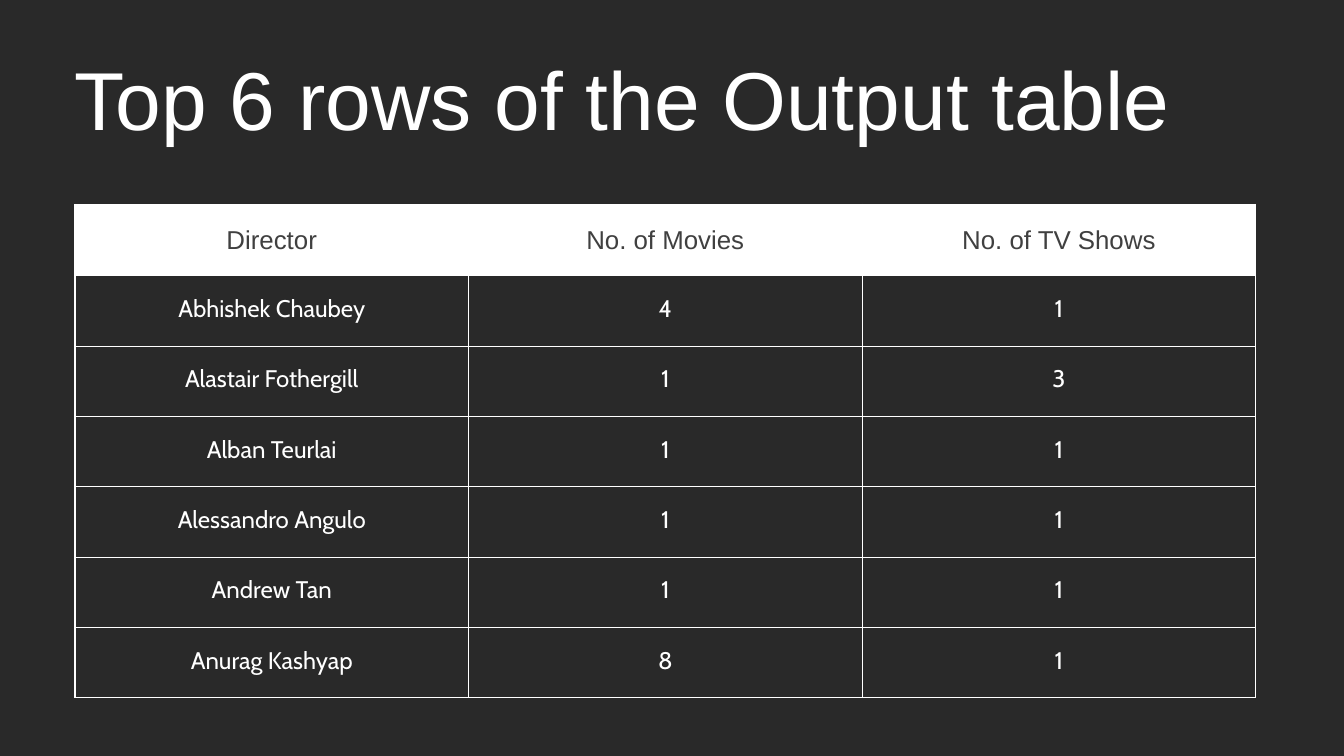
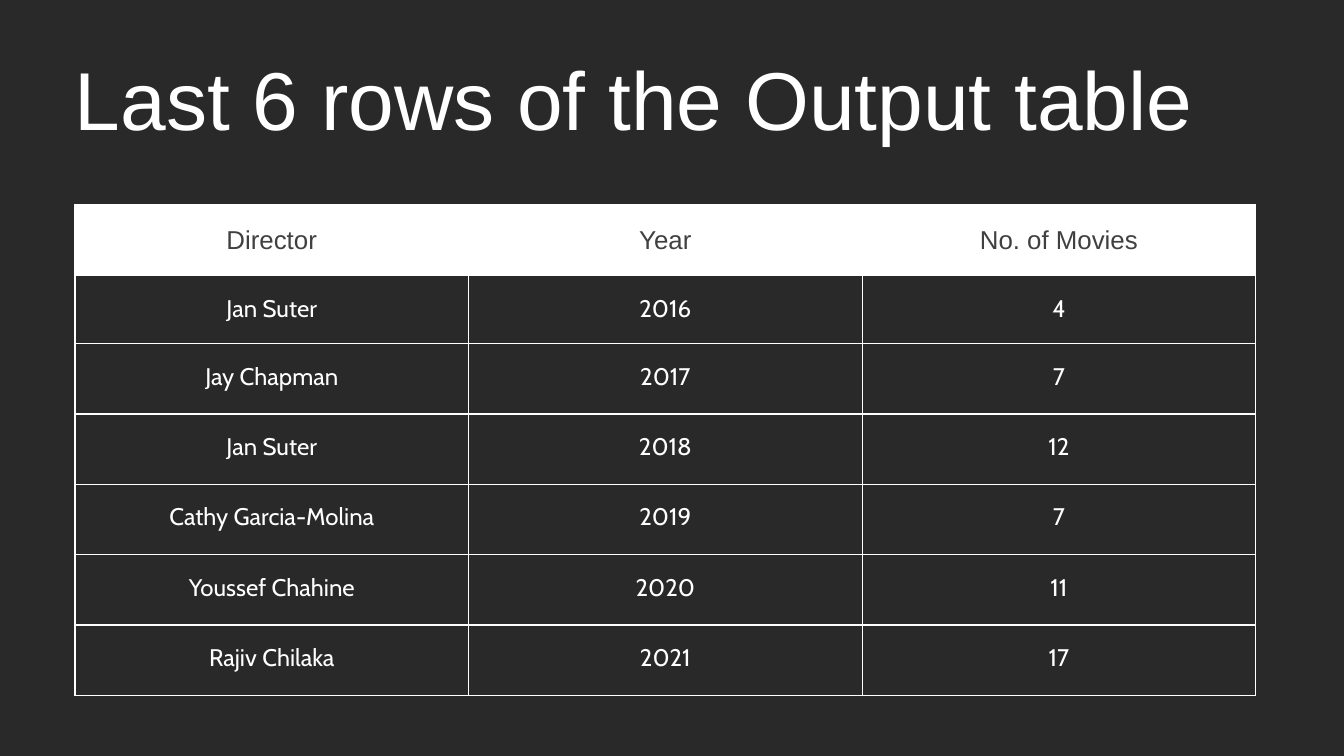
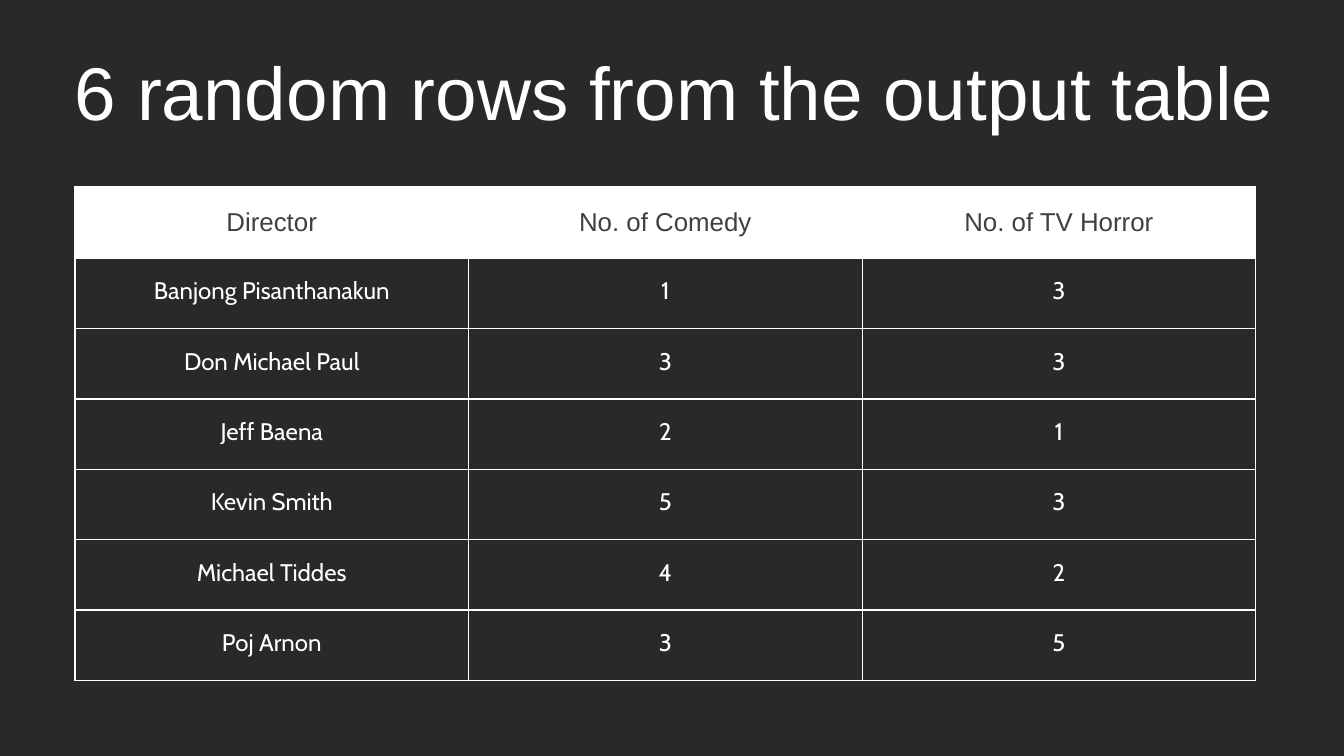
from dataclasses import dataclass

from lxml.etree import SubElement
from pptx import Presentation
from pptx.dml.color import RGBColor
from pptx.enum.text import MSO_AUTO_SIZE, PP_ALIGN
from pptx.oxml.ns import qn
from pptx.util import Pt

EMU_PER_PX = 9525


def px(length):
    return length * EMU_PER_PX


@dataclass(frozen=True)
class TextStyle:
    font: str
    size: float
    color: str
    line_spacing: float
    align: PP_ALIGN = PP_ALIGN.LEFT


@dataclass(frozen=True)
class Theme:
    background: str = "292929"
    line: str = "FFFFFF"
    header_fill: str = "FFFFFF"
    line_width: float = 1.5
    title: TextStyle = TextStyle("Arial", 88, "FFFFFF", 105.6)
    long_title: TextStyle = TextStyle("Arial", 80, "FFFFFF", 96)
    header: TextStyle = TextStyle("Arial", 27.7, "404040", 38.8, PP_ALIGN.CENTER)
    body: TextStyle = TextStyle("Cabin", 25.7, "FFFFFF", 36, PP_ALIGN.CENTER)


THEME = Theme()

# Shared grid
LEFT = 107
COLUMN_WIDTH = px(1687) // 3
HEADER_HEIGHT = px(102)
ROW_HEIGHT = px(603) // 6
CELL_MARGIN = px(20)

SIDES = ("left", "right", "top", "bottom")


def set_values(target, values):
    for name, value in values.items():
        setattr(target, name, value)


def set_margins(target, margin):
    set_values(target, {f"margin_{side}": margin for side in SIDES})


def write(frame, text, style):
    para = frame.paragraphs[0]
    set_values(para, {"alignment": style.align,
                      "line_spacing": Pt(style.line_spacing)})
    span = para.add_run()
    span.text = text
    set_values(span.font, {"name": style.font, "size": Pt(style.size)})
    span.font.color.rgb = RGBColor.from_string(style.color)


def add_page(deck):
    page = deck.slides.add_slide(deck.slide_layouts[6])
    fill = page.background.fill
    fill.solid()
    fill.fore_color.rgb = RGBColor.from_string(THEME.background)
    return page


def add_title(page, text, top, width, height, style):
    box = page.shapes.add_textbox(px(LEFT), px(top), px(width), px(height))
    frame = box.text_frame
    set_values(frame, {"word_wrap": True,
                       "auto_size": MSO_AUTO_SIZE.SHAPE_TO_FIT_TEXT})
    set_margins(frame, 0)
    write(frame, text, style)


def add_borders(cell):
    properties = cell._tc.get_or_add_tcPr()
    for edge in ("lnL", "lnR", "lnT", "lnB"):
        line = SubElement(properties, qn(f"a:{edge}"), w=str(Pt(THEME.line_width)))
        fill = SubElement(line, qn("a:solidFill"))
        SubElement(fill, qn("a:srgbClr"), val=THEME.line)


def format_cell(cell, text, is_header):
    set_margins(cell, CELL_MARGIN)
    add_borders(cell)
    if is_header:
        cell.fill.solid()
        cell.fill.fore_color.rgb = RGBColor.from_string(THEME.header_fill)
    else:
        cell.fill.background()
    write(cell.text_frame, text, THEME.header if is_header else THEME.body)


def add_director_table(page, rows, top, first_row_height=ROW_HEIGHT):
    heights = [HEADER_HEIGHT, first_row_height] + [ROW_HEIGHT] * (len(rows) - 2)
    columns = len(rows[0])
    table = page.shapes.add_table(len(rows), columns, px(LEFT), px(top),
                                  COLUMN_WIDTH * columns, sum(heights)).table
    set_values(table, {"first_row": False, "horz_banding": False})
    for column in table.columns:
        column.width = COLUMN_WIDTH
    for row_index, (values, height) in enumerate(zip(rows, heights)):
        table.rows[row_index].height = height
        for column_index, value in enumerate(values):
            format_cell(table.cell(row_index, column_index), str(value),
                        is_header=row_index == 0)


# Table contents
MOVIES_AND_SHOWS = [
    ("Director", "No. of Movies", "No. of TV Shows"),
    ("Abhishek Chaubey", 4, 1),
    ("Alastair Fothergill", 1, 3),
    ("Alban Teurlai", 1, 1),
    ("Alessandro Angulo", 1, 1),
    ("Andrew Tan", 1, 1),
    ("Anurag Kashyap", 8, 1),
]
MOVIES_BY_YEAR = [
    ("Director", "Year", "No. of Movies"),
    ("Jan Suter", 2016, 4),
    ("Jay Chapman", 2017, 7),
    ("Jan Suter", 2018, 12),
    ("Cathy Garcia-Molina", 2019, 7),
    ("Youssef Chahine", 2020, 11),
    ("Rajiv Chilaka", 2021, 17),
]
COMEDY_AND_HORROR = [
    ("Director", "No. of Comedy", "No. of TV Horror"),
    ("Banjong Pisanthanakun", 1, 3),
    ("Don Michael Paul", 3, 3),
    ("Jeff Baena", 2, 1),
    ("Kevin Smith", 5, 3),
    ("Michael Tiddes", 4, 2),
    ("Poj Arnon", 3, 5),
]


def main():
    deck = Presentation()
    set_values(deck, {"slide_width": px(1920), "slide_height": px(1080)})

    # Top rows
    page = add_page(deck)
    add_title(page, "Top 6 rows of the Output table", 69, 1707, 140, THEME.title)
    add_director_table(page, MOVIES_AND_SHOWS, 292)

    # Last rows
    page = add_page(deck)
    add_title(page, "Last 6 rows of the Output table", 69, 1707, 140, THEME.title)
    add_director_table(page, MOVIES_BY_YEAR, 292, first_row_height=px(97))

    # Random rows
    page = add_page(deck)
    add_title(page, "6 random rows from the output table", 65, 1764, 129,
              THEME.long_title)
    add_director_table(page, COMEDY_AND_HORROR, 267)

    deck.save("out.pptx")


if __name__ == "__main__":
    main()
